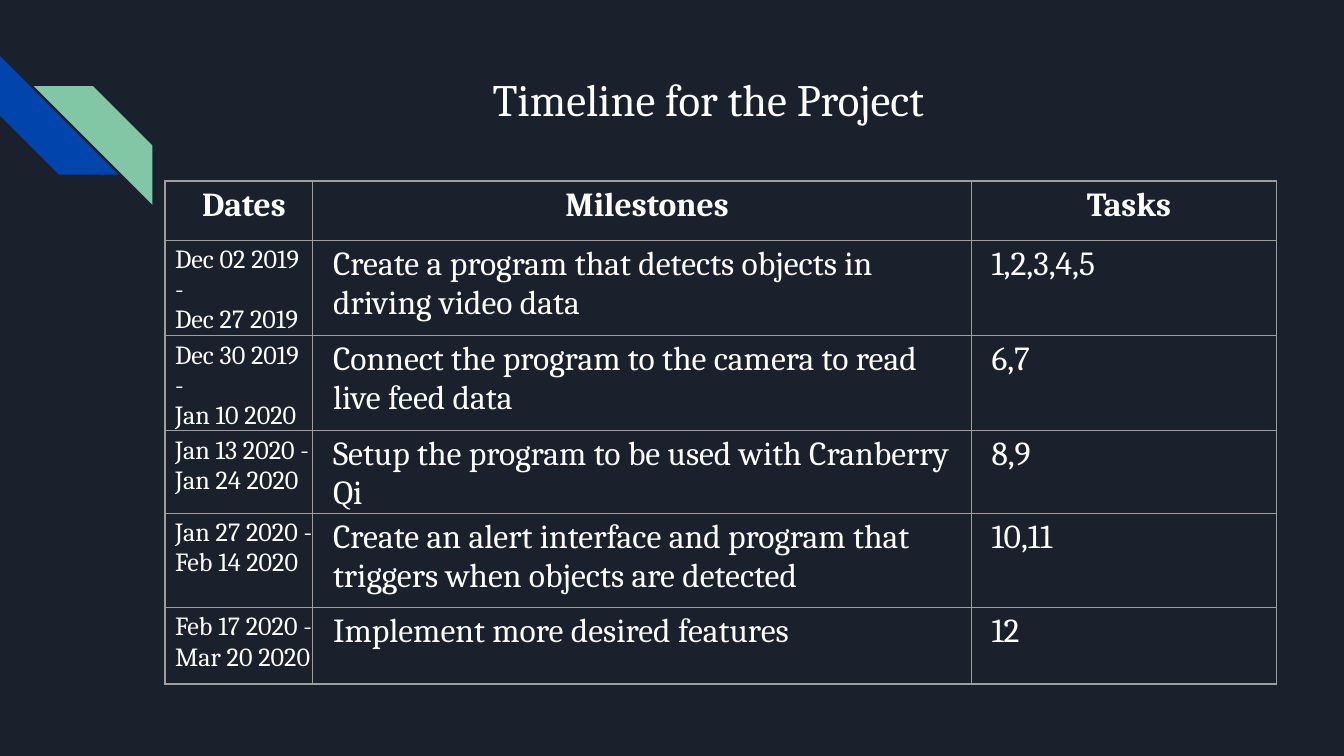
"""Build the project timeline slide."""
from lxml.etree import SubElement
from pptx import Presentation
from pptx.dml.color import RGBColor
from pptx.enum.shapes import MSO_SHAPE
from pptx.enum.text import MSO_ANCHOR, MSO_AUTO_SIZE, PP_ALIGN
from pptx.oxml.ns import qn
from pptx.util import Pt

TITLE = "Timeline for the Project"
HEADER = ("Dates", "Milestones", "Tasks")
ROWS = [
    ("Dec 02 2019 -\nDec 27 2019",
     "Create a program that detects objects in driving video data", "1,2,3,4,5"),
    ("Dec 30 2019 -\nJan 10 2020",
     "Connect the program to the camera to read live feed data", "6,7"),
    ("Jan 13 2020 -\nJan 24 2020",
     "Setup the program to be used with Cranberry Qi", "8,9"),
    ("Jan 27 2020 -\nFeb 14 2020",
     "Create an alert interface and program that triggers when objects are detected",
     "10,11"),
    ("Feb 17 2020 -\nMar 20 2020", "Implement more desired features", "12"),
]
COLORS = {"bg": "1B212C", "blue": "0145AC", "green": "82C7A5",
          "text": "FFFFFF", "border": "9E9E9E"}
FONT = "Cambria"
COL_WIDTHS = (79.2, 352.8, 163.4)
ROW_HEIGHTS = (31.7, 50.4, 50.4, 41, 50.4, 41)
STRIPES = [("blue", 0, 30.1, 270, False), ("green", 18.2, 46.2, 0, True)]
STRIPE_SIZE = 63.5
INSET = 5.4


def rgb(name):
    return RGBColor.from_string(COLORS[name])


def style(p, size, bold=False, align=PP_ALIGN.LEFT):
    p.alignment = align
    p.font.name, p.font.size, p.font.bold = FONT, Pt(size), bold
    p.font.color.rgb = rgb("text")


def add_stripe(s, color, left, top, rotation, flip):
    sp = s.shapes.add_shape(MSO_SHAPE.DIAGONAL_STRIPE, Pt(left), Pt(top),
                            Pt(STRIPE_SIZE), Pt(STRIPE_SIZE))
    sp.shadow.inherit = False
    sp.rotation = rotation
    sp.fill.solid()
    sp.fill.fore_color.rgb = rgb(color)
    sp.line.fill.background()
    if flip:
        sp.element.spPr.find(qn("a:xfrm")).set("flipH", "1")


def add_title(s):
    sp = s.shapes.title
    sp.left, sp.top, sp.width, sp.height = Pt(102.2), Pt(31), Pt(554.4), Pt(43.2)
    tf = sp.text_frame
    tf.text = TITLE
    tf.auto_size = MSO_AUTO_SIZE.NONE
    tf.vertical_anchor = MSO_ANCHOR.TOP
    tf.margin_left = tf.margin_right = tf.margin_top = tf.margin_bottom = Pt(7.2)
    style(tf.paragraphs[0], 24, align=PP_ALIGN.CENTER)


def set_borders(cell):
    tcPr = cell._tc.get_or_add_tcPr()
    for side in ("a:lnL", "a:lnR", "a:lnT", "a:lnB"):
        ln = SubElement(tcPr, qn(side), w=str(Pt(0.75)))
        fill = SubElement(ln, qn("a:solidFill"))
        SubElement(fill, qn("a:srgbClr"), val=COLORS["border"])


def fill_cell(cell, text, row, col):
    cell.text = text
    cell.margin_left, cell.margin_top = Pt(INSET), Pt(2.7)
    cell.margin_right = cell.margin_bottom = 0
    set_borders(cell)
    cell.fill.background()
    for p in cell.text_frame.paragraphs:
        if row == 0:
            style(p, 18, True, PP_ALIGN.CENTER)
        elif col == 0:
            style(p, 14)
        else:
            style(p, 18)
            pPr = p._p.get_or_add_pPr()
            pPr.set("marL", str(Pt(INSET)))
            pPr.set("indent", "0")


def add_timeline(s):
    table = s.shapes.add_table(len(ROW_HEIGHTS), len(COL_WIDTHS), Pt(88.4), Pt(97),
                               Pt(sum(COL_WIDTHS)), Pt(sum(ROW_HEIGHTS))).table
    for col, width in zip(table.columns, COL_WIDTHS):
        col.width = Pt(width)
    for row, height in zip(table.rows, ROW_HEIGHTS):
        row.height = Pt(height)
    for i, texts in enumerate([HEADER, *ROWS]):
        for j, text in enumerate(texts):
            fill_cell(table.cell(i, j), text, i, j)


def main():
    prs = Presentation()
    prs.slide_width, prs.slide_height = Pt(720), Pt(405)
    s = prs.slides.add_slide(prs.slide_layouts[5])
    s.background.fill.solid()
    s.background.fill.fore_color.rgb = rgb("bg")
    for stripe in STRIPES:
        add_stripe(s, *stripe)
    add_title(s)
    add_timeline(s)
    prs.save("out.pptx")


if __name__ == "__main__":
    main()
